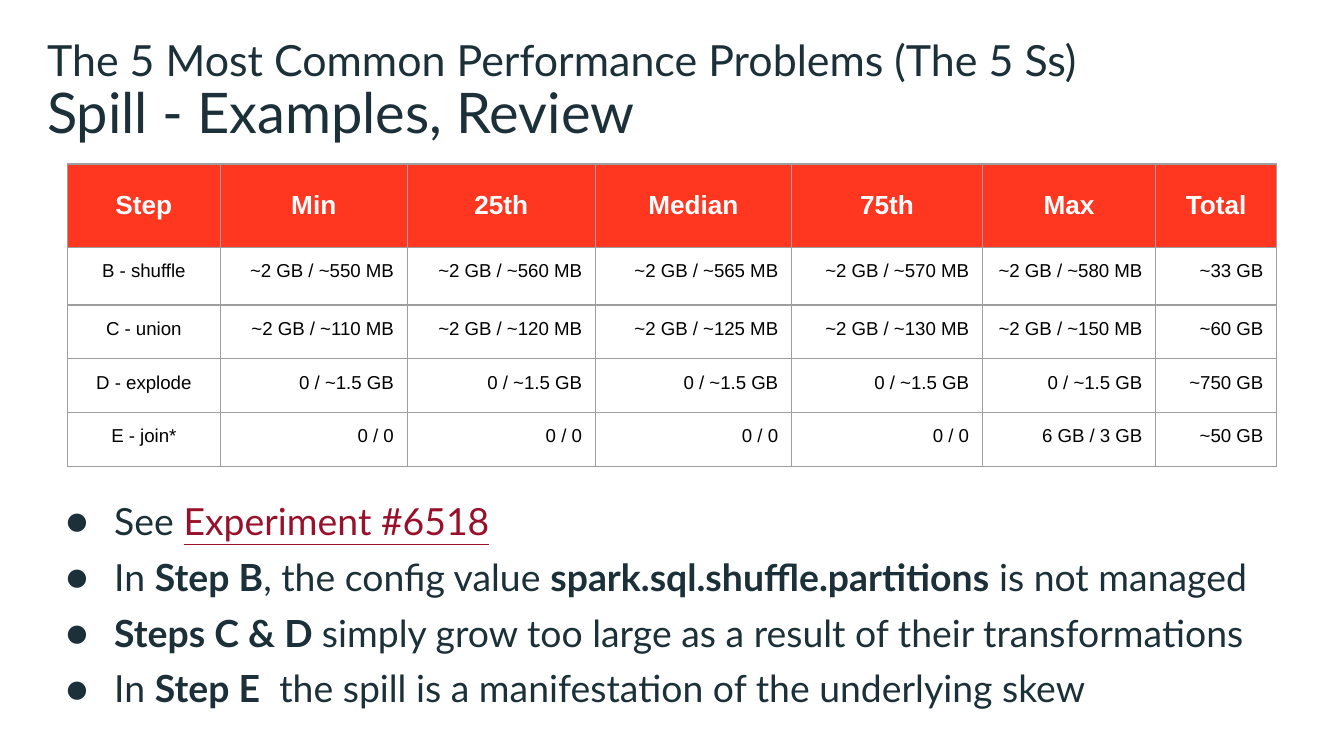
from dataclasses import dataclass

from lxml.etree import SubElement
from pptx import Presentation
from pptx.dml.color import RGBColor
from pptx.enum.text import MSO_ANCHOR as Anchor, MSO_AUTO_SIZE as AutoSize, PP_ALIGN as Align
from pptx.oxml.ns import qn
from pptx.util import Inches, Pt

INK = RGBColor(0x1B, 0x30, 0x38)
LINK = RGBColor(0x98, 0x10, 0x2A)
HEADER = RGBColor(0xFF, 0x36, 0x20)
GRID = RGBColor(0x9E, 0x9E, 0x9E)
WHITE = RGBColor(0xFF, 0xFF, 0xFF)
BLACK = RGBColor(0, 0, 0)

PAGE_WIDTH = 10
PAGE_HEIGHT = PAGE_WIDTH * 9 / 16


@dataclass
class Area:
    left: float
    top: float
    width: float
    height: float

    def lengths(self) -> list:
        return [Inches(n) for n in (self.left, self.top, self.width, self.height)]


@dataclass
class Span:
    text: str
    bold: bool = False
    link: bool = False


@dataclass
class CellStyle:
    size: int
    color: RGBColor
    fill: RGBColor
    bold: bool
    anchor: Anchor


HEAD_CELL = CellStyle(14, WHITE, HEADER, True, Anchor.MIDDLE)
BODY_CELL = CellStyle(10, BLACK, WHITE, False, Anchor.TOP)

COLUMNS = [1.14, 1.39, 1.4, 1.46, 1.42, 1.29, 0.9]
ROWS = [0.62, 0.43, 0.4, 0.4, 0.4]
SPILL = [
    ["Step", "Min", "25th", "Median", "75th", "Max", "Total"],
    ["B - shuffle", *(f"~2 GB / ~{mb} MB" for mb in (550, 560, 565, 570, 580)), "~33 GB"],
    ["C - union", *(f"~2 GB / ~{mb} MB" for mb in (110, 120, 125, 130, 150)), "~60 GB"],
    ["D - explode", *["0 / ~1.5 GB"] * 5, "~750 GB"],
    ["E - join*", *["0 / 0"] * 4, "6 GB / 3 GB", "~50 GB"],
]
NOTES = [
    [Span("See "), Span("Experiment #6518", link=True)],
    [Span("In "), Span("Step B", bold=True), Span(", the config value "),
     Span("spark.sql.shuffle.partitions", bold=True), Span(" is not managed")],
    [Span("Steps C & D ", bold=True),
     Span("simply grow too large as a result of their transformations")],
    [Span("In "), Span("Step E", bold=True),
     Span("  the spill is a manifestation of the underlying skew")],
]


def style_font(font, name: str, size: int, color: RGBColor, bold: bool = False) -> None:
    font.name, font.size, font.bold = name, Pt(size), bold
    font.color.rgb = color


def place_box(box, area: Area, inset_left: float, inset_y: float):
    box.left, box.top, box.width, box.height = area.lengths()
    frame = box.text_frame
    frame.margin_left, frame.margin_right = Inches(inset_left), 0
    frame.margin_top = frame.margin_bottom = Inches(inset_y)
    frame.vertical_anchor = Anchor.TOP
    frame.word_wrap, frame.auto_size = True, AutoSize.NONE
    return frame


def set_bullet(para, mark: str, left: float, hanging: float) -> None:
    """Set the indents and the bullet; an empty mark means no bullet."""
    props = para._p.get_or_add_pPr()
    props.set("marL", str(Inches(left)))
    props.set("indent", str(-Inches(hanging)))
    if mark:
        color = SubElement(props, qn("a:buClr"))
        SubElement(color, qn("a:srgbClr"), val=str(INK))
        SubElement(props, qn("a:buFont"), typeface="Lato")
        SubElement(props, qn("a:buChar"), char=mark)
    else:
        SubElement(props, qn("a:buNone"))


def fill_heading(box, area: Area, text: str, size: int) -> None:
    frame = place_box(box, area, 0.35, 0)
    frame.text = text
    para = frame.paragraphs[0]
    para.alignment = Align.LEFT
    para.space_before = Pt(0)
    set_bullet(para, "", 0, 0)
    style_font(para.runs[0].font, "Lato", size, INK)


def fill_notes(box, area: Area) -> None:
    frame = place_box(box, area, 0, 0.04)
    for index, spans in enumerate(NOTES):
        para = frame.add_paragraph() if index else frame.paragraphs[0]
        para.line_spacing = 1.25
        para.space_before = Pt(0)
        set_bullet(para, "●", 0.5, 0.36)
        for span in spans:
            run = para.add_run()
            run.text = span.text
            style_font(run.font, "Lato", 20, LINK if span.link else INK, span.bold)
            run.font.underline = span.link


def draw_borders(cell) -> None:
    props = cell._tc.get_or_add_tcPr()
    for side in ("L", "R", "T", "B"):
        line = SubElement(props, qn(f"a:ln{side}"), w=str(Pt(0.75)))
        fill = SubElement(line, qn("a:solidFill"))
        SubElement(fill, qn("a:srgbClr"), val=str(GRID))


def fill_cell(cell, text: str, style: CellStyle, align: Align) -> None:
    draw_borders(cell)
    cell.fill.solid()
    cell.fill.fore_color.rgb = style.fill
    cell.margin_left = cell.margin_right = Inches(0.1)
    cell.margin_top = cell.margin_bottom = Inches(0.1)
    cell.vertical_anchor = style.anchor
    cell.text_frame.text = text
    para = cell.text_frame.paragraphs[0]
    para.alignment = align
    style_font(para.runs[0].font, "Arial", style.size, style.color, style.bold)


def draw_table(page) -> None:
    area = Area(0.5, 1.22, sum(COLUMNS), sum(ROWS))
    table = page.shapes.add_table(len(ROWS), len(COLUMNS), *area.lengths()).table
    table.horz_banding = False
    for column, width in zip(table.columns, COLUMNS):
        column.width = Inches(width)
    for row, height in zip(table.rows, ROWS):
        row.height = Inches(height)
    for r, values in enumerate(SPILL):
        for c, value in enumerate(values):
            centred = r == 0 or c == 0
            fill_cell(table.cell(r, c), value, BODY_CELL if r else HEAD_CELL,
                      Align.CENTER if centred else Align.RIGHT)


def main() -> None:
    deck = Presentation()
    deck.slide_width, deck.slide_height = Inches(PAGE_WIDTH), Inches(PAGE_HEIGHT)
    # The "Two Content" layout gives a title, a subtitle and a list
    page = deck.slides.add_slide(deck.slide_layouts[3])
    title, subtitle, notes = page.placeholders

    # Headings
    fill_heading(title, Area(0, 0.25, PAGE_WIDTH, 0.5),
                 "The 5 Most Common Performance Problems (The 5 Ss)", 23)
    fill_heading(subtitle, Area(0, 0.58, PAGE_WIDTH, 0.5), "Spill - Examples, Review", 30)

    # Spill figures and remarks
    draw_table(page)
    fill_notes(notes, Area(0.35, 3.58, 9.65, 1.67))

    deck.save("out.pptx")


if __name__ == "__main__":
    main()
